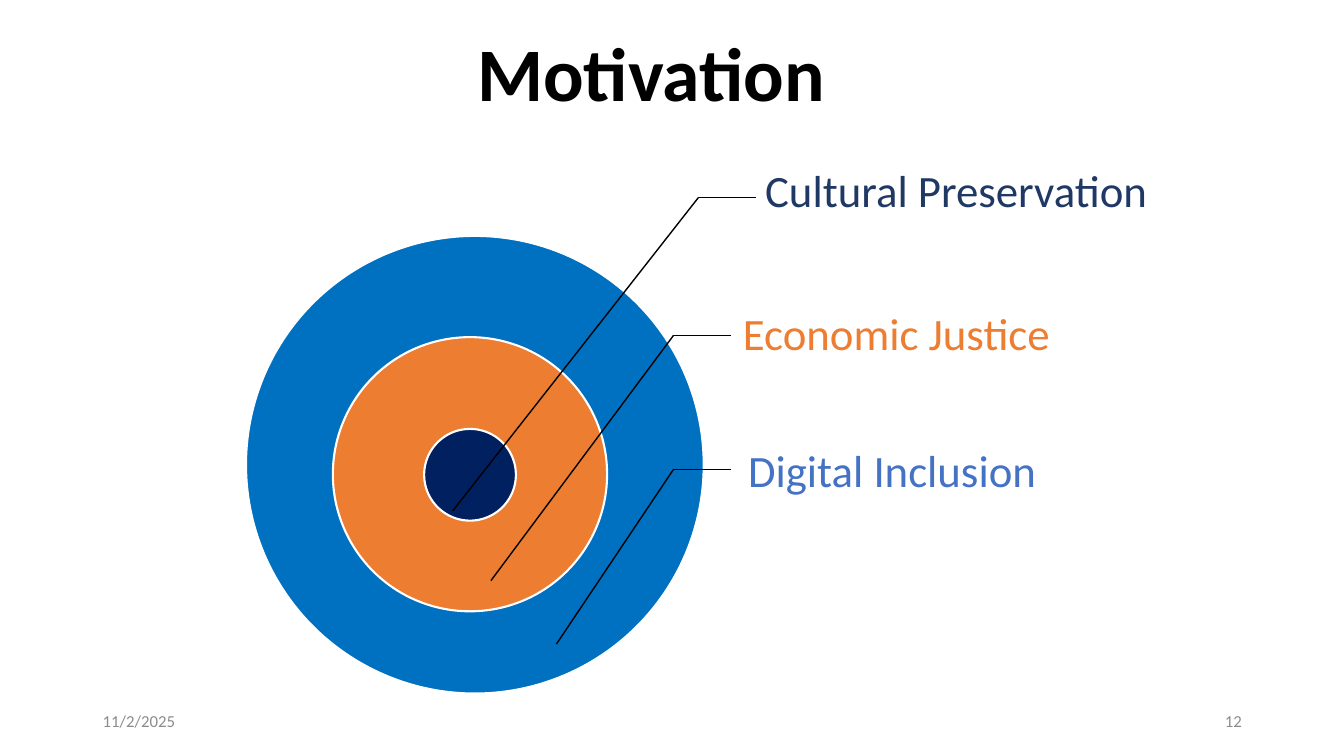
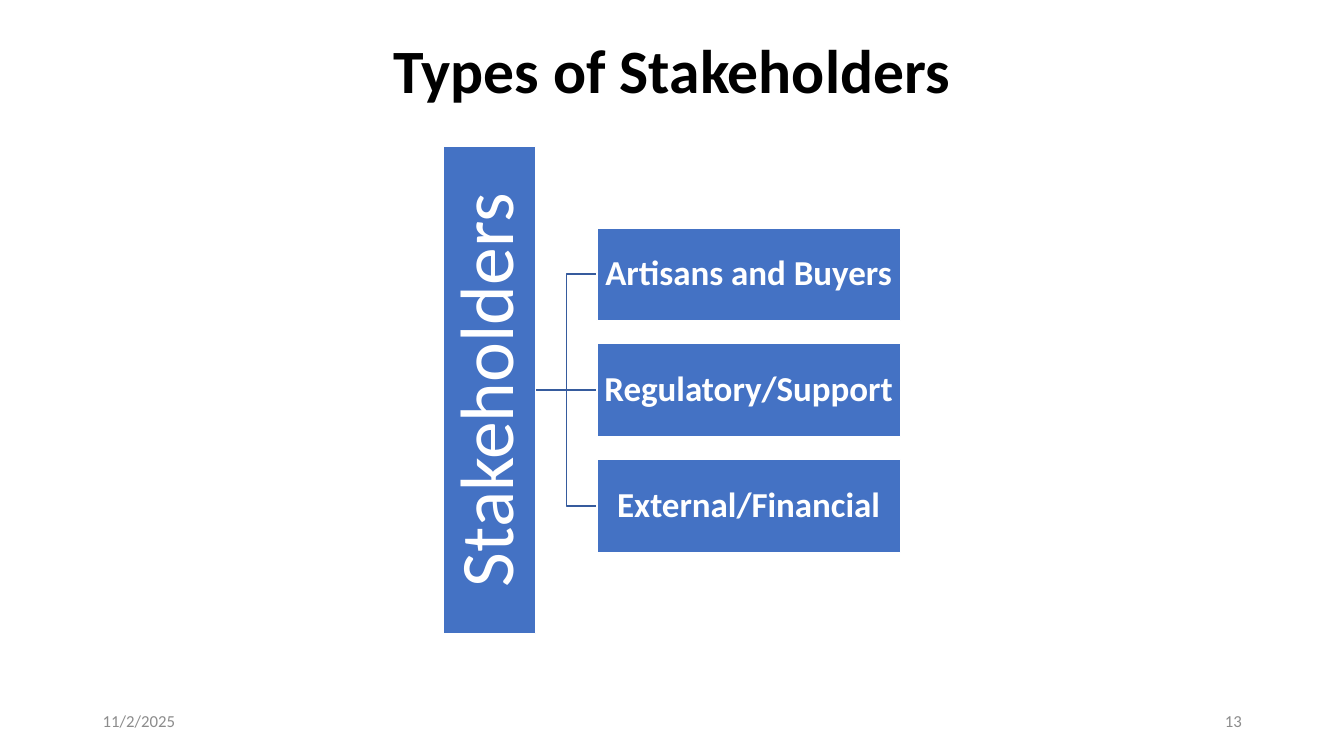
from lxml import etree
from pptx import Presentation
from pptx.dml.color import RGBColor
from pptx.enum.shapes import MSO_CONNECTOR, MSO_SHAPE
from pptx.enum.text import MSO_ANCHOR, MSO_AUTO_SIZE, PP_ALIGN
from pptx.oxml.ns import qn
from pptx.util import Inches, Pt

STRAIGHT, ELBOW = MSO_CONNECTOR.STRAIGHT, MSO_CONNECTOR.ELBOW
ELLIPSE, RECTANGLE = MSO_SHAPE.OVAL, MSO_SHAPE.RECTANGLE
LEFT, CENTER, RIGHT = PP_ALIGN.LEFT, PP_ALIGN.CENTER, PP_ALIGN.RIGHT
MIDDLE = MSO_ANCHOR.MIDDLE
TITLE_ONLY = 5

# Shared look
FONT = "Calibri"
BLACK, WHITE, GRAY = "000000", "FFFFFF", "8C8C8C"
BLUE, ORANGE, NAVY = "4472C4", "ED7D31", "203864"
RING_BLUE, CORE_NAVY, BRANCH_BLUE = "0070C0", "002060", "365B9D"
SLIDE_W, SLIDE_H = Inches(13.33), Inches(7.5)
DATE = "11/2/2025"


def across(percent):
    """Share of the slide width."""
    return round(SLIDE_W * percent / 100)


def down(percent):
    """Share of the slide height."""
    return round(SLIDE_H * percent / 100)


def rgb(hex_color):
    return RGBColor.from_string(hex_color)


def write(shape, text, size, color, bold=False, align=LEFT, spacing=0.9,
          insets=(0.1, 0.05, 0.1, 0.05)):
    frame = shape.text_frame
    frame.text = text
    frame.word_wrap = True
    frame.auto_size = MSO_AUTO_SIZE.NONE
    frame.vertical_anchor = MIDDLE
    (frame.margin_left, frame.margin_top,
     frame.margin_right, frame.margin_bottom) = map(Inches, insets)
    paragraph = frame.paragraphs[0]
    paragraph.alignment = align
    paragraph.line_spacing = spacing
    font = paragraph.runs[0].font
    font.name, font.size, font.bold = FONT, Pt(size), bold
    font.color.rgb = rgb(color)


def add_panel(slide, kind, center_x, center_y, width, height, fill, line_width):
    panel = slide.shapes.add_shape(
        kind, center_x - width // 2, center_y - height // 2, width, height)
    panel.shadow.inherit = False
    panel.fill.solid()
    panel.fill.fore_color.rgb = rgb(fill)
    panel.line.color.rgb = rgb(WHITE)
    panel.line.width = Pt(line_width)
    return panel


def add_line(slide, start, end, color, kind=STRAIGHT):
    line = slide.shapes.add_connector(kind, *start, *end)
    line.line.color.rgb = rgb(color)
    line.line.width = Pt(1)
    etree.SubElement(line._element.spPr, qn("a:effectLst"))


def add_page(prs, title, title_box, title_size, number):
    """Slide with its title, date and page number."""
    slide = prs.slides.add_slide(prs.slide_layouts[TITLE_ONLY])
    heading = slide.shapes.title
    left, top, width, height = title_box
    heading.left, heading.top = across(left), down(top)
    heading.width, heading.height = across(width), down(height)
    write(heading, title, title_size, BLACK, bold=True, align=CENTER)
    for left, text, align in ((6.9, DATE, LEFT), (70.65, str(number), RIGHT)):
        footer = slide.shapes.add_textbox(
            across(left), down(92.67), across(22.5), down(5.33))
        write(footer, text, 12, GRAY, align=align, spacing=1)
    return slide


def add_callout(slide, text, color, label, elbow, tip):
    """Label with a short shelf and a slanted leader to its ring."""
    left, middle = label
    height = down(12.27)
    box = slide.shapes.add_textbox(
        across(left), down(middle) - height // 2, across(40), height)
    write(box, text, 32, color, insets=(0.25, 0.04, 0.04, 0.04))
    corner = across(elbow[0]), down(elbow[1])
    add_line(slide, corner, (corner[0] + across(4.28), corner[1]), BLACK)
    add_line(slide, corner, (across(tip[0]), down(tip[1])), BLACK)


def build_motivation(prs):
    slide = add_page(prs, "Motivation", (28.45, 3.4, 40, 13.47), 54, 12)
    # Rings: center, diameter, fill
    for x, y, diameter, fill in (
            (35.33, 61.47, 60.53, RING_BLUE),
            (34.97, 62.73, 36.27, ORANGE),
            (34.97, 62.8, 12.13, CORE_NAVY)):
        size = down(diameter)
        add_panel(slide, ELLIPSE, across(x), down(y), size, size, fill, 1.5)
    # Callouts: label, elbow and tip positions
    add_callout(slide, "Cultural Preservation", NAVY,
                (55.05, 25.47), (51.98, 26.1), (33.68, 67.6))
    add_callout(slide, "Economic Justice", ORANGE,
                (53.4, 44.47), (50.1, 44.4), (36.53, 76.8))
    add_callout(slide, "Digital Inclusion", BLUE,
                (53.78, 62.53), (50.1, 62.13), (41.4, 85.2))


def build_stakeholders(prs):
    slide = add_page(prs, "Types of Stakeholders", (0, 0, 100, 19.33), 44, 13)
    groups = ("Artisans and Buyers", "Regulatory/Support", "External/Financial")
    trunk_x, middle = across(36.42), down(51.6)
    thickness, pitch = down(12.27), down(15.33)
    branch_left, branch_width = across(44.41), across(22.58)
    trunk_edge = trunk_x + thickness // 2
    rows = [middle + (i - len(groups) // 2) * pitch for i in range(len(groups))]

    # Branch lines
    for row in rows:
        kind = STRAIGHT if row == middle else ELBOW
        add_line(slide, (trunk_edge, middle), (branch_left, row),
                 BRANCH_BLUE, kind)
    # Upright trunk
    trunk = add_panel(slide, RECTANGLE, trunk_x, middle,
                      down(64.4), thickness, BLUE, 1)
    trunk.rotation = 270
    write(trunk, "Stakeholders", 54, WHITE, align=CENTER, insets=(0.04,) * 4)
    # Stakeholder groups
    for row, group in zip(rows, groups):
        branch = add_panel(slide, RECTANGLE, branch_left + branch_width // 2,
                           row, branch_width, thickness, BLUE, 1)
        write(branch, group, 25, WHITE, bold=True, align=CENTER,
              insets=(0.02,) * 4)


def main():
    prs = Presentation()
    prs.slide_width, prs.slide_height = SLIDE_W, SLIDE_H
    build_motivation(prs)
    build_stakeholders(prs)
    prs.save("out.pptx")


if __name__ == "__main__":
    main()
